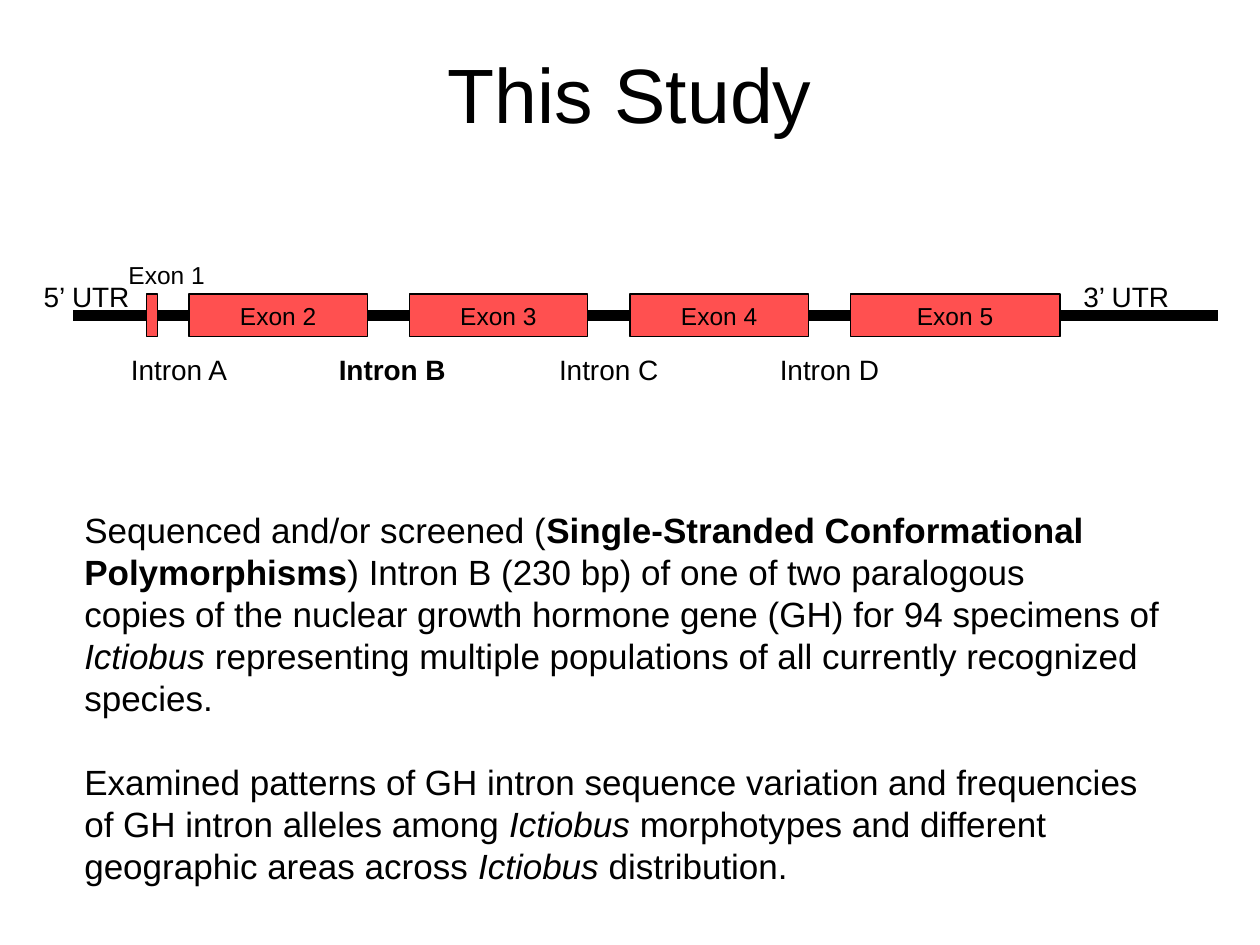
from lxml.etree import SubElement
from pptx import Presentation
from pptx.dml.color import RGBColor
from pptx.enum.shapes import MSO_CONNECTOR as Connector, MSO_SHAPE as Shape
from pptx.enum.text import MSO_ANCHOR as Anchor, MSO_AUTO_SIZE as AutoSize, PP_ALIGN as Align
from pptx.oxml.ns import qn
from pptx.util import Cm, Pt

COLORS = {"ink": "000000", "exon": "FF5050"}
FONT = "Arial"

# Gene map lengths in cm, measured from the left end of the map.
EXON_HEIGHT = 0.85
EXONS = [("Exon 1", 1.48, 0.21), ("Exon 2", 2.33, 3.6), ("Exon 3", 6.77, 3.6),
         ("Exon 4", 11.22, 3.6), ("Exon 5", 15.66, 4.23)]
INTRONS = [("Intron A", 0.91, 2.47), ("Intron B", 5.1, 2.66),
           ("Intron C", 9.54, 2.52), ("Intron D", 13.99, 2.52)]
UTRS = [("5’ UTR", -0.85), ("3’ UTR", 20.11)]

# Each paragraph is a list of lines, each line a list of (text, style) runs.
SUMMARY = [
    [
        [("Sequenced and/or screened (", ""), ("Single-Stranded Conformational", "bold")],
        [("Polymorphisms", "bold"), (") Intron B (230 bp) of one of two paralogous", "")],
        [("copies of the nuclear growth hormone gene (GH) for 94 specimens of", "")],
        [("Ictiobus ", "italic"),
         ("representing multiple populations of all currently recognized", "")],
        [("species.", "")],
    ],
    [
        [("Examined patterns of GH intron sequence variation and frequencies", "")],
        [("of GH intron alleles among ", ""), ("Ictiobus", "italic"),
         (" morphotypes and different", "")],
        [("geographic areas across ", ""), ("Ictiobus", "italic"), (" distribution.", "")],
    ],
]


def color(name):
    return RGBColor.from_string(COLORS[name])


def add_run(paragraph, text, size, style=""):
    run = paragraph.add_run()
    run.text = text
    font = run.font
    font.name, font.size = FONT, Pt(size)
    font.color.rgb = color("ink")
    font.bold, font.italic = style == "bold", style == "italic"


def add_label(shapes, text, left, top, width, size, style=""):
    label = shapes.add_textbox(Cm(left), Cm(top), Cm(width), Cm(0.94))
    frame = label.text_frame
    frame.word_wrap = False
    frame.auto_size = AutoSize.SHAPE_TO_FIT_TEXT
    add_run(frame.paragraphs[0], text, size, style)


def add_exon(shapes, left, top, width, text=""):
    exon = shapes.add_shape(Shape.RECTANGLE, Cm(left), Cm(top), Cm(width), Cm(EXON_HEIGHT))
    exon.shadow.inherit = False
    exon.fill.solid()
    exon.fill.fore_color.rgb = color("exon")
    exon.line.color.rgb = color("ink")
    exon.line.width = Pt(0.75)
    if text:
        frame = exon.text_frame
        frame.word_wrap = False
        frame.vertical_anchor = Anchor.MIDDLE
        frame.paragraphs[0].alignment = Align.CENTER
        add_run(frame.paragraphs[0], text, 14)


def add_strand(shapes, left, middle, width):
    strand = shapes.add_connector(
        Connector.STRAIGHT, Cm(left), Cm(middle), Cm(left + width), Cm(middle))
    strand.line.color.rgb = color("ink")
    strand.line.width = Pt(6)
    SubElement(strand._element.spPr, qn("a:effectLst"))


def add_title(slide, left, top, width, height):
    title = slide.shapes.title
    title.left, title.top, title.width, title.height = map(Cm, (left, top, width, height))
    frame = title.text_frame
    frame.vertical_anchor = Anchor.MIDDLE
    frame.paragraphs[0].alignment = Align.CENTER
    add_run(frame.paragraphs[0], "This Study", 44)


def add_gene_map(slide, left, top, width):
    """Draw the gene; top is the upper edge of the exons."""
    for text, offset in UTRS:
        add_label(slide.shapes, text, left + offset, top - 0.41, 2.26, 16)
    gene = slide.shapes.add_group_shape().shapes
    add_strand(gene, left, top + EXON_HEIGHT / 2, width)
    for text, offset, exon_width in EXONS:
        too_narrow = exon_width < 1
        add_exon(gene, left + offset, top, exon_width, "" if too_narrow else text)
        if too_narrow:
            add_label(slide.shapes, text, left + offset - 0.62, top - 0.82, 2.15, 14)
    for text, offset, label_width in INTRONS:
        style = "bold" if text == "Intron B" else ""
        add_label(slide.shapes, text, left + offset, top + 1.06, label_width, 16, style)


def add_summary(slide, left, top, width, height):
    box = slide.shapes.add_textbox(*map(Cm, (left, top, width, height)))
    frame = box.text_frame
    frame.word_wrap = False
    frame.auto_size = AutoSize.NONE
    for index, lines in enumerate(SUMMARY):
        paragraph = frame.add_paragraph() if index else frame.paragraphs[0]
        paragraph.line_spacing = Pt(24)
        if index:
            paragraph.space_before = Pt(24)
        for number, line in enumerate(lines):
            if number:
                paragraph.add_line_break()
            for text, style in line:
                add_run(paragraph, text, 20, style)


def main():
    presentation = Presentation()
    presentation.slide_width, presentation.slide_height = Cm(25.4), Cm(19.05)
    slide = presentation.slides.add_slide(presentation.slide_layouts[5])
    add_title(slide, 1.9, 0.41, 21.6, 2.9)
    add_gene_map(slide, 1.48, 5.93, 23.07)
    add_summary(slide, 1.45, 10.13, 22.38, 7.87)
    presentation.save("out.pptx")


if __name__ == "__main__":
    main()
